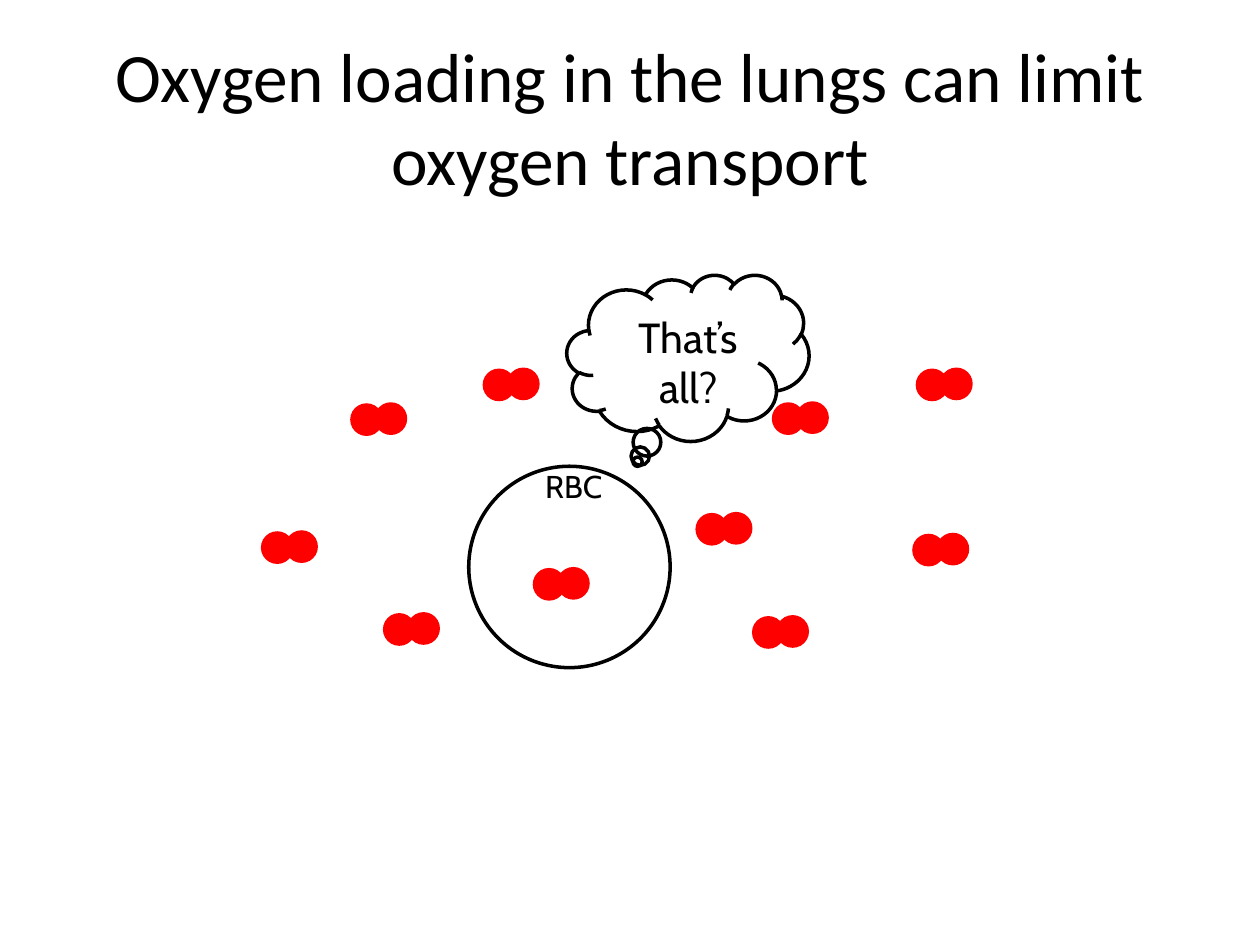
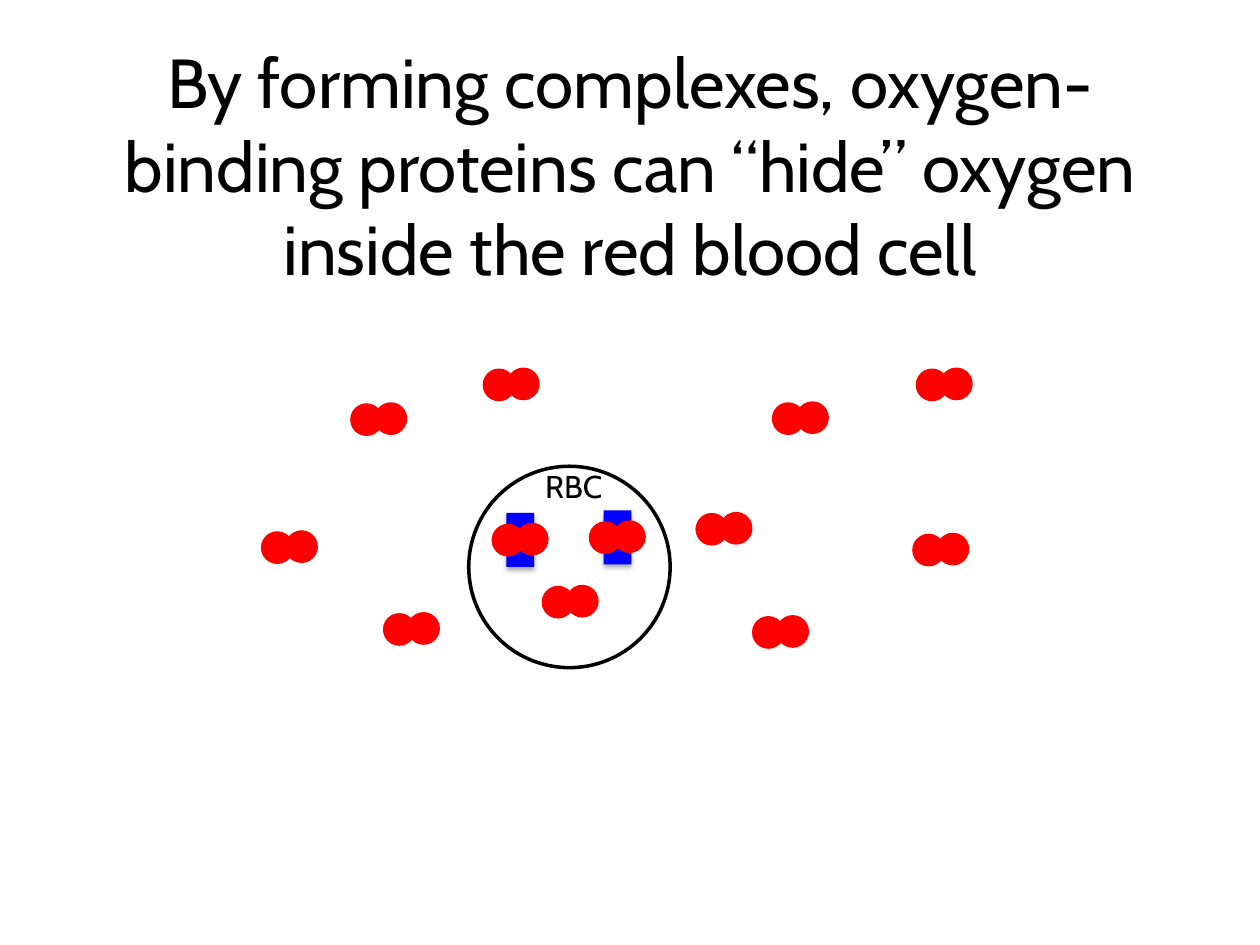
import lxml.etree
import pptx
import pptx.dml.color
import pptx.enum.shapes
import pptx.enum.text
import pptx.oxml.ns
import pptx.util

Cm = pptx.util.Cm
Pt = pptx.util.Pt
qn = pptx.oxml.ns.qn
SHAPE = pptx.enum.shapes.MSO_SHAPE
ALIGN = pptx.enum.text.PP_ALIGN
ANCHOR = pptx.enum.text.MSO_ANCHOR

FREE_OXYGEN = [
    (7.06, 8.13), (7.72, 12.36), (9.73, 7.43), (15.16, 12.42), (5.26, 10.71),
    (15.56, 8.11), (18.39, 10.76), (18.46, 7.43), (14.02, 10.34),
]
PROTEINS = [(10.21, 10.34), (12.17, 10.29)]


def rgb(value):
    return pptx.dml.color.RGBColor.from_string(value)


class OxygenDeck:
    """Holds the presentation style and draws onto the current slide."""

    black, red, blue = "000000", "FF0000", "0000FF"
    body_font = "Cabin"
    atom, bond = 0.66, 0.49

    def __init__(self):
        self.presentation = pptx.Presentation()
        self.presentation.slide_width = Cm(25.4)
        self.presentation.slide_height = Cm(19.05)
        self.slide = None

    def start_slide(self, heading, height, font):
        self.slide = self.presentation.slides.add_slide(self.presentation.slide_layouts[6])
        self.text(self.slide.shapes, heading, (1.27, 0.76, 22.86, height), 39.6,
                  font=font, align=ALIGN.CENTER, anchor=ANCHOR.MIDDLE)

    def text(self, parent, words, box, size, font=body_font, align=ALIGN.LEFT,
             anchor=ANCHOR.TOP, wrap=True):
        frame = parent.add_textbox(*map(Cm, box)).text_frame
        frame.word_wrap = wrap
        frame.vertical_anchor = anchor
        frame.text = words
        paragraph = frame.paragraphs[0]
        paragraph.alignment = align
        for run in paragraph.runs:
            run.font.name = font
            run.font.size = Pt(size)
            run.font.color.rgb = rgb(self.black)

    def solid(self, parent, kind, box, color):
        solid = parent.add_shape(kind, *map(Cm, box))
        solid.shadow.inherit = False
        solid.fill.solid()
        solid.fill.fore_color.rgb = rgb(color)
        solid.line.fill.background()
        return solid

    def outline(self, parent, kind, box):
        outline = parent.add_shape(kind, *map(Cm, box))
        outline.shadow.inherit = False
        outline.fill.background()
        outline.line.color.rgb = rgb(self.black)
        outline.line.width = Pt(2)

    def oxygen(self, left, top):
        molecule = self.slide.shapes.add_group_shape().shapes
        for x, y in ((left, top), (left + self.bond, top - 0.02)):
            self.solid(molecule, SHAPE.OVAL, (x, y, self.atom, self.atom), self.red)

    def protein(self, left, top):
        protein = self.solid(self.slide.shapes, SHAPE.RECTANGLE, (left, top, 0.56, 1.09), self.blue)
        effects = protein._element.spPr.find(qn("a:effectLst"))
        shadow = lxml.etree.SubElement(
            effects, qn("a:outerShdw"), blurRad=str(Pt(3.1)), dist=str(Pt(1.8)),
            dir="5400000", rotWithShape="0")
        tint = lxml.etree.SubElement(shadow, qn("a:srgbClr"), val=self.black)
        lxml.etree.SubElement(tint, qn("a:alpha"), val="35000")

    def blood_cell(self):
        self.text(self.slide.shapes, "RBC", (10.74, 9.3, 1.7, 1.02), 18, wrap=False)
        self.outline(self.slide.shapes, SHAPE.OVAL, (9.45, 9.4, 4.06, 4.06))

    def thought(self, words):
        thought = self.slide.shapes.add_group_shape().shapes
        self.outline(thought, SHAPE.CLOUD_CALLOUT, (11.43, 5.54, 4.88, 3.35))
        self.text(thought, words, (12.07, 6.15, 3.61, 2.31), 24, align=ALIGN.CENTER)

    def lung_scene(self):
        self.blood_cell()
        for place in FREE_OXYGEN:
            self.oxygen(*place)


def main():
    deck = OxygenDeck()

    deck.start_slide("Oxygen loading in the lungs can limit oxygen transport", 3.18, "Calibri")
    deck.lung_scene()
    deck.oxygen(10.74, 11.45)
    deck.thought("That’s all?")

    deck.start_slide("By forming complexes, oxygen-binding proteins can “hide” oxygen "
                     "inside the red blood cell", 5.11, deck.body_font)
    deck.lung_scene()
    for left, top in PROTEINS:
        deck.protein(left, top)
        deck.oxygen(left - 0.3, top + 0.22)
    deck.oxygen(10.92, 11.81)

    deck.presentation.save("out.pptx")


if __name__ == "__main__":
    main()
